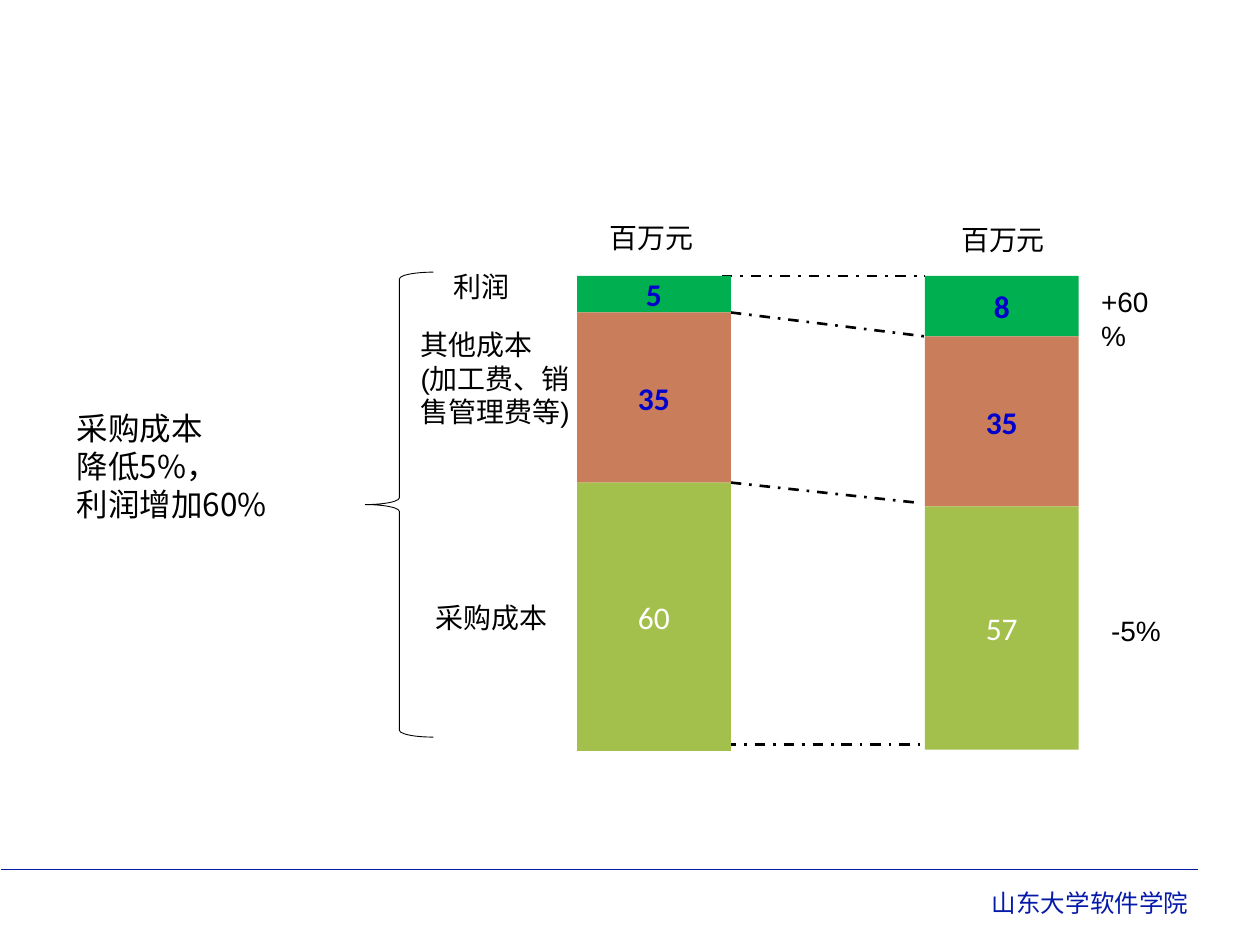
from dataclasses import dataclass
from itertools import accumulate

from pptx import Presentation
from pptx.dml.color import RGBColor
from pptx.enum.dml import MSO_LINE
from pptx.enum.shapes import MSO_CONNECTOR, MSO_SHAPE
from pptx.enum.text import MSO_ANCHOR, PP_ALIGN
from pptx.oxml.ns import qn
from pptx.util import Inches, Pt


@dataclass(frozen=True)
class Theme:
    """Colours, fonts and type sizes of the slide."""
    ink: str = "000000"
    brand: str = "061AAA"
    value: str = "0000CC"
    white: str = "FFFFFF"
    profit: str = "00B050"
    other: str = "CA7D5A"
    purchase: str = "A4C04C"
    font: str = "Arial"
    bar_font: str = "Calibri"
    cjk: str = "Noto Sans CJK SC"
    footer: int = 14
    label: int = 16
    large: int = 18


T = Theme()


def write(shape, text, align=PP_ALIGN.LEFT, anchor=MSO_ANCHOR.TOP, color=T.ink, **font):
    """Fill a shape with one formatted paragraph per line of text."""
    tf = shape.text_frame
    tf.word_wrap = True
    tf.vertical_anchor = anchor
    formats = {"name": T.font, "size": Pt(T.label), **font}
    for i, line in enumerate(text.split("\n")):
        p = tf.add_paragraph() if i else tf.paragraphs[0]
        p.alignment = align
        r = p.add_run()
        r.text = line
        for key, value in formats.items():
            setattr(r.font, key, value)
        r.font.color.rgb = RGBColor.from_string(color)
        ea = r.font._element.makeelement(qn("a:ea"), {"typeface": T.cjk})
        r.font._element.find(qn("a:latin")).addnext(ea)


def add_text(s, box, text, **formats):
    """Add a text box at a box given in inches."""
    write(s.shapes.add_textbox(*map(Inches, box)), text, **formats)


def add_line(s, ends, color, width, dash=None):
    """Add a straight line without shadow between two points in inches."""
    line = s.shapes.add_connector(MSO_CONNECTOR.STRAIGHT, *map(Inches, ends))
    line.line.color.rgb = RGBColor.from_string(color)
    line.line.width = Pt(width)
    line.line.dash_style = dash
    props = line._element.spPr
    props.append(props.makeelement(qn("a:effectLst"), {}))


def add_footer(s, box):
    """Place the rule and the school name."""
    x, y, w, h = box
    add_line(s, (x, y, x + w, y), T.brand, 1)
    add_text(s, (x + 0.3, y + 0.1, w - 0.28, h - 0.1), "山东大学软件学院",
             align=PP_ALIGN.RIGHT, color=T.brand, size=Pt(T.footer))


def add_bar(s, box, values, heights):
    """Stack the profit, other cost and purchase cost blocks of one bar."""
    x, y, w, _ = box
    tops = accumulate(heights, initial=y)
    styles = ((T.profit, T.value, True), (T.other, T.value, True),
              (T.purchase, T.white, False))
    for value, top, height, (fill, color, bold) in zip(values, tops, heights, styles):
        block = s.shapes.add_shape(MSO_SHAPE.RECTANGLE, *map(Inches, (x, top, w, height)))
        block.shadow.inherit = False
        block.fill.solid()
        block.fill.fore_color.rgb = RGBColor.from_string(fill)
        block.line.fill.background()
        write(block, str(value), align=PP_ALIGN.CENTER, anchor=MSO_ANCHOR.MIDDLE,
              color=color, name=T.bar_font, size=Pt(T.large), bold=bold)


def add_comparison(s, box):
    """Place both stacked bars, their links, units and changes."""
    x, y, w, h = box
    bar_w = 1.22
    left, right = x + bar_w, x + w - bar_w
    links = ((left - 0.07, 0, right, 0), (left - 0.04, 3.72, right + 0.03, 3.72),
             (left, 0.29, right, 0.48), (left, 1.64, right - 0.06, 1.8))
    for x1, y1, x2, y2 in links:
        add_line(s, (x1, y + y1, x2, y + y2), T.ink, 1.5, MSO_LINE.DASH_DOT)
    add_bar(s, (x, y, bar_w, h), (5, 35, 60), (0.29, 1.35, 2.13))
    add_bar(s, (right, y, bar_w, h), (8, 35, 57), (0.48, 1.35, 1.93))
    add_text(s, (x + 0.16, y - 0.49, 1.15, 0.37), "百万元")
    add_text(s, (right + 0.19, y - 0.47, 1.15, 0.37), "百万元")
    add_text(s, (x + w + 0.08, y + 0.02, 0.76, 0.64), "+60%")
    add_text(s, (x + w + 0.16, y + 2.63, 0.61, 0.37), "-5%")


def add_breakdown(s, box):
    """Place the brace and the names of the cost blocks."""
    x, y, w, h = box
    brace = s.shapes.add_shape(MSO_SHAPE.LEFT_BRACE, *map(Inches, (x, y, 0.54, h)))
    brace.shadow.inherit = False
    brace.fill.background()
    brace.line.color.rgb = RGBColor.from_string(T.ink)
    brace.line.width = Pt(0.5)
    brace.adjustments[0] = 0.1
    add_text(s, (x + 0.6, y - 0.07, 0.92, 0.37), "利润")
    add_text(s, (x + 0.34, y + 0.39, w - 0.34, 0.9), "其他成本\n(加工费、销售管理费等)")
    add_text(s, (x + 0.46, y + 2.56, 1.22, 0.37), "采购成本")


def add_conclusion(s, box):
    """State the effect of the lower purchase cost."""
    add_text(s, box, "采购成本\n降低5%，\n利润增加60%", name=T.cjk, size=Pt(T.large))


def main():
    """Build and save the slide."""
    prs = Presentation()
    prs.slide_width, prs.slide_height = Inches(10), Inches(7.5)
    s = prs.slides.add_slide(prs.slide_layouts[6])
    add_footer(s, (0.01, 6.9, 9.5, 0.44))
    add_comparison(s, (4.58, 2.19, 3.98, 3.77))
    add_breakdown(s, (2.9, 2.16, 1.79, 3.69))
    add_conclusion(s, (0.51, 3.2, 2.28, 1))
    prs.save("out.pptx")


if __name__ == "__main__":
    main()
